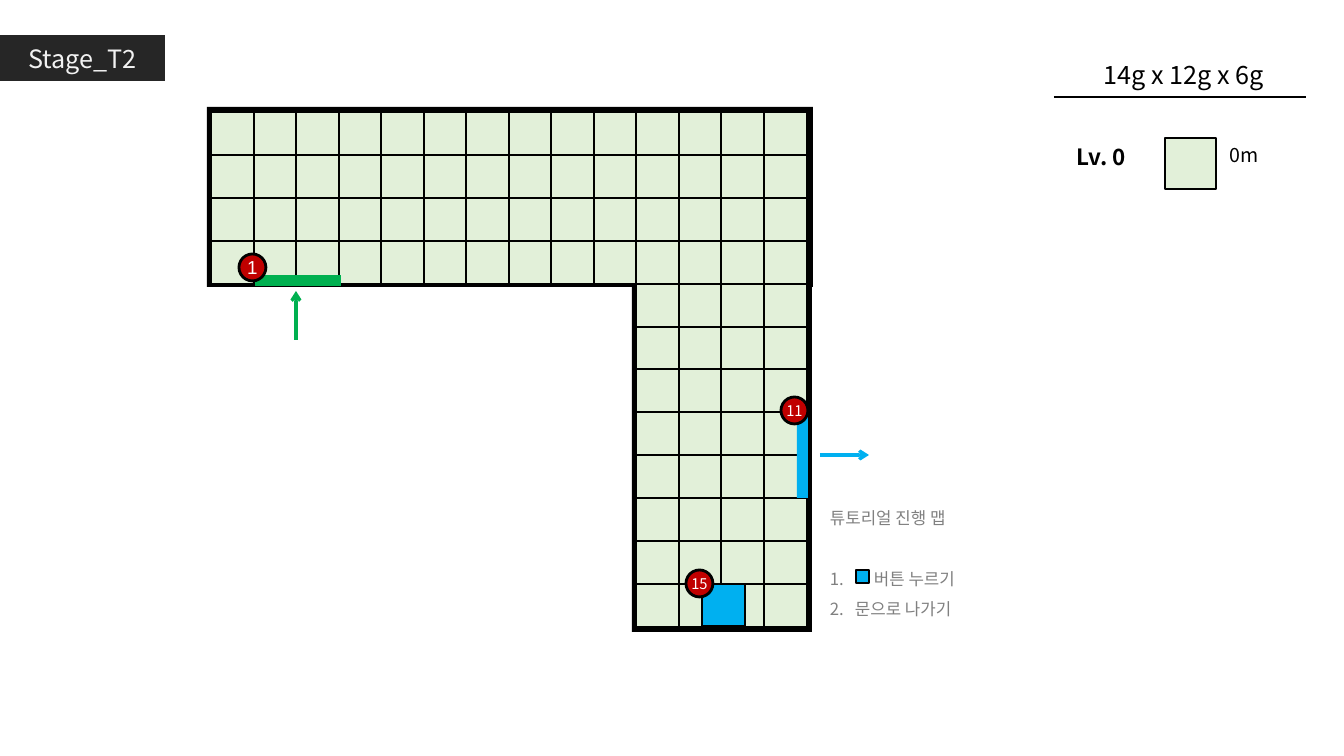
from dataclasses import dataclass

from lxml import etree
from pptx import Presentation
from pptx import util as u
from pptx.dml.color import RGBColor
from pptx.enum import shapes, text
from pptx.oxml import ns

PX = 914400 / 100.8
RECT, OVAL = shapes.MSO_SHAPE.RECTANGLE, shapes.MSO_SHAPE.OVAL
MIDDLE, CENTER, LEFT = text.MSO_ANCHOR.MIDDLE, text.PP_ALIGN.CENTER, text.PP_ALIGN.LEFT


@dataclass(frozen=True)
class Theme:
    """Colours, fonts and point sizes of the slide."""
    ink: str = "000000"
    tag: str = "262626"
    tag_ink: str = "F2F2F2"
    floor: str = "E2F0D9"
    entry: str = "00B050"
    goal: str = "00B0F0"
    marker: str = "C00000"
    white: str = "FFFFFF"
    note: str = "808080"
    font: str = "Noto Sans CJK KR"
    marker_font: str = "Arial"
    heading: float = 18
    level: float = 16
    height: float = 14
    first_marker: float = 13.4
    body: float = 12
    small: float = 10.5
    note_pitch: float = 21.6
    rule: float = 1
    edge: float = 2
    arrow: float = 2.25


THEME = Theme()


def px(length):
    """Turn pixels into EMU."""
    return u.Emu(round(length * PX))


def assign(target, values):
    """Set each named attribute of the target."""
    for name, value in values.items():
        setattr(target, name, value)


def add_xml(parent, tag, **attributes):
    """Append a DrawingML element."""
    return etree.SubElement(parent, ns.qn(tag), attributes)


def place(shape, box):
    """Move and size a shape to a pixel box."""
    assign(shape, dict(zip(("left", "top", "width", "height"), map(px, box))))


def within(box, x, y, *size):
    """Shift a relative position by the corner of its region."""
    return (box[0] + x, box[1] + y, *size)


def write(paragraph, words, size, color, font=THEME.font, bold=False, align=LEFT):
    """Add one formatted run to a paragraph."""
    paragraph.alignment = align
    run = paragraph.add_run()
    run.text = words
    assign(run.font, {"size": u.Pt(size), "bold": bold, "name": font})
    run.font.color.rgb = RGBColor.from_string(color)
    add_xml(run.font._element, "a:ea", typeface=font)


def add_block(slide, box, fill, outlined=False, kind=RECT):
    """Add a filled shape with an optional dark edge."""
    block = slide.shapes.add_shape(kind, *map(px, box))
    block.shadow.inherit = False
    block.fill.solid()
    block.fill.fore_color.rgb = RGBColor.from_string(fill)
    if outlined:
        block.line.color.rgb = RGBColor.from_string(THEME.ink)
        block.line.width = u.Pt(THEME.edge)
    else:
        block.line.fill.background()
    return block


def add_label(slide, box, words, size, **style):
    """Add a one-line text box."""
    label = slide.shapes.add_textbox(*map(px, box))
    label.text_frame.word_wrap = True
    write(label.text_frame.paragraphs[0], words, size, THEME.ink, **style)


def add_line(slide, start, end, color, width, arrow=False):
    """Add a straight line, with an arrowhead at its end if asked."""
    line = slide.shapes.add_connector(
        shapes.MSO_CONNECTOR.STRAIGHT, *map(px, (*start, *end)))
    line.line.color.rgb = RGBColor.from_string(color)
    line.line.width = u.Pt(width)
    if arrow:
        add_xml(line.line._get_or_add_ln(), "a:tailEnd", type="arrow")
    add_xml(line._element.spPr, "a:effectLst")


def add_marker(slide, corner, number, size, font=THEME.font):
    """Add a numbered red disc."""
    disc = add_block(slide, (*corner, 27, 27), THEME.marker, True, OVAL)
    frame = disc.text_frame
    assign(frame, {"margin_left": 0, "margin_right": 0, "margin_top": 0,
                   "margin_bottom": 0, "word_wrap": False,
                   "vertical_anchor": MIDDLE})
    write(frame.paragraphs[0], number, size, THEME.white, font, align=CENTER)


def stage_tag(slide, box):
    """Turn the title into the dark stage tag."""
    title = slide.shapes.title
    place(title, box)
    title.fill.solid()
    title.fill.fore_color.rgb = RGBColor.from_string(THEME.tag)
    assign(title.text_frame, {"vertical_anchor": MIDDLE, "word_wrap": True,
                              "auto_size": text.MSO_AUTO_SIZE.NONE})
    write(title.text_frame.paragraphs[0], "Stage_T2", THEME.heading,
          THEME.tag_ink, align=CENTER)


def level_legend(slide, box):
    """Show the map size above the floor level key."""
    add_label(slide, within(box, 19, 0, 222, 40), "14g x 12g x 6g",
              THEME.heading, align=CENTER)
    add_line(slide, within(box, 0, 43), within(box, box[2], 43), THEME.ink, THEME.rule)
    add_block(slide, within(box, 111, 84, 51, 51), THEME.floor, True)
    add_label(slide, within(box, 166, 84, 72, 33), "0m", THEME.height)
    add_label(slide, within(box, 13, 84, 108, 36), "Lv. 0", THEME.level, bold=True)


def stage_map(slide, box):
    """Draw the L-shaped floor with its doors, button and markers."""
    columns, rows, corridor_rows, hall_column = 14, 12, 4, 10
    cell, column_pitch, row_pitch = 43, 553 / 13, 472 / 11
    for wall in ((425, 176, 180, 349), (0, 0, 606, 180)):
        add_block(slide, within(box, *wall), THEME.ink)
    for row in range(rows):
        for column in range(0 if row < corridor_rows else hall_column, columns):
            x, y = 4 + round(column * column_pitch), 5 + round(row * row_pitch)
            add_block(slide, within(box, x, y, cell, cell), THEME.floor, True)
    add_block(slide, within(box, 48, 168, 86, 11), THEME.entry)
    add_marker(slide, within(box, 32, 147), "1", THEME.first_marker, THEME.marker_font)
    add_line(slide, within(box, 89, 233), within(box, 89, 184),
             THEME.entry, THEME.arrow, True)
    add_block(slide, within(box, 495, 477, 43, 42), THEME.goal, True)
    add_line(slide, within(box, 613, 348), within(box, 662, 348),
             THEME.goal, THEME.arrow, True)
    add_block(slide, within(box, 590, 305, 11, 86), THEME.goal)
    add_marker(slide, within(box, 574, 290), "11", THEME.small)
    add_marker(slide, within(box, 479, 463), "15", THEME.small)


def tutorial_notes(slide, box):
    """List the tutorial steps, with a button swatch in the first."""
    frame = slide.shapes.add_textbox(*map(px, box)).text_frame
    assign(frame, {"word_wrap": True, "vertical_anchor": MIDDLE})
    pitch = u.Pt(THEME.note_pitch)
    notes = (("튜토리얼 진행 맵", 0, 0), ("버튼 누르기", 44, pitch), ("문으로 나가기", 25, 0))
    for index, (words, indent, gap) in enumerate(notes):
        paragraph = frame.add_paragraph() if index else frame.paragraphs[0]
        assign(paragraph, {"line_spacing": pitch, "space_before": gap})
        write(paragraph, words, THEME.body, THEME.note)
        if indent:
            layout = paragraph._p.get_or_add_pPr()
            layout.set("marL", str(px(indent)))
            layout.set("indent", str(-px(indent)))
            add_xml(layout, "a:buFont", typeface="+mj-lt")
            add_xml(layout, "a:buAutoNum", type="arabicPeriod")
    add_block(slide, within(box, 36, 78, 13, 13), THEME.goal, True)


def main():
    """Build and save the stage slide."""
    deck = Presentation()
    assign(deck, {"slide_width": px(1344), "slide_height": px(756)})
    slide = deck.slides.add_slide(deck.slide_layouts[5])
    stage_tag(slide, (0, 35, 165, 46))
    level_legend(slide, (1054, 54, 252, 135))
    stage_map(slide, (207, 107, 606, 525))
    tutorial_notes(slide, (820, 492, 381, 133))
    deck.save("out.pptx")


main()
